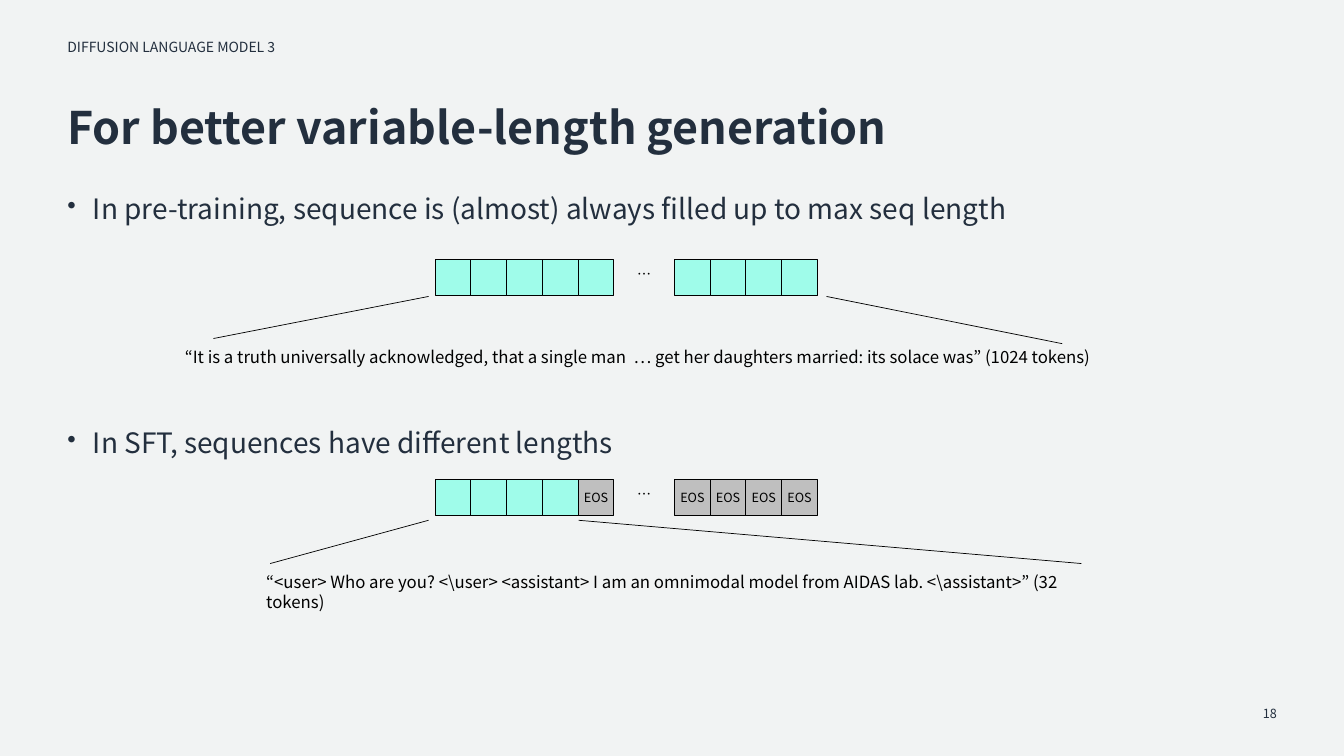
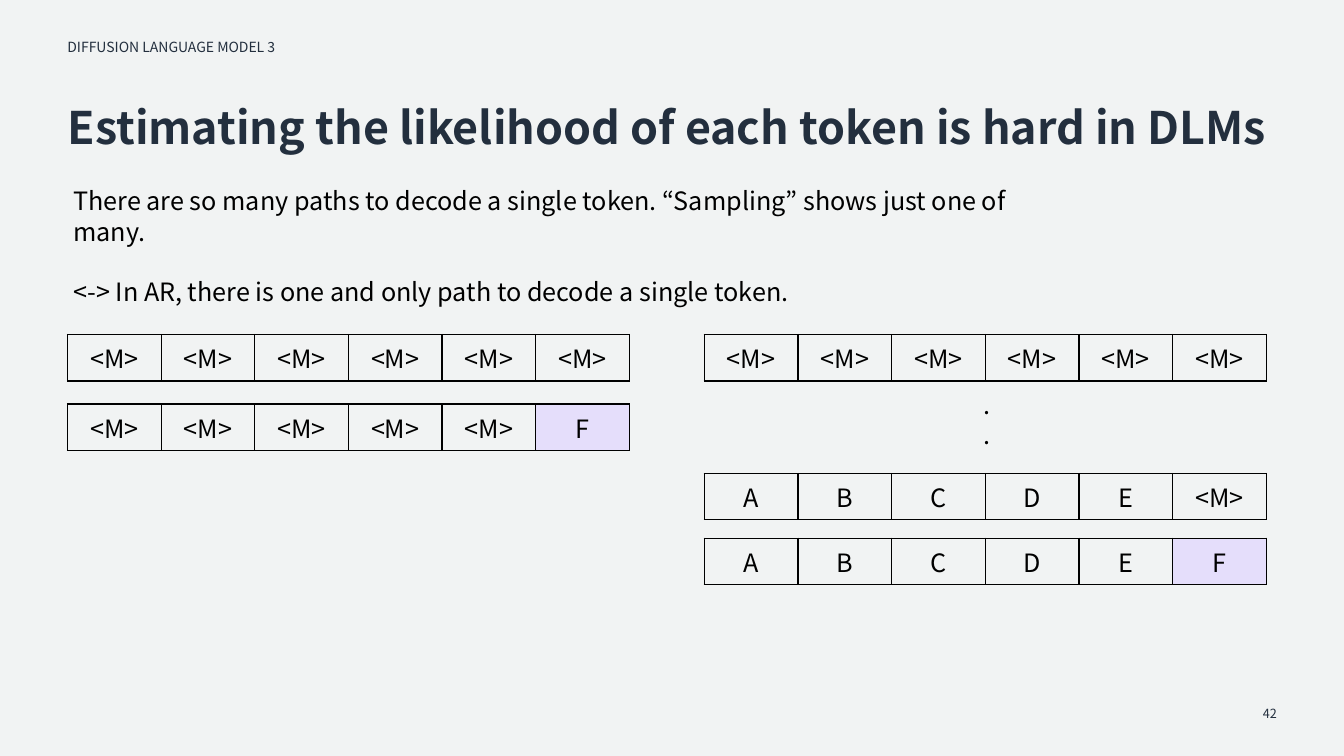
from lxml import etree
from pptx import Presentation
from pptx import util as u
from pptx.dml.color import RGBColor
from pptx.enum import shapes, text
from pptx.oxml import ns

Cm, Pt = u.Cm, u.Pt
FONT = "Noto Sans CJK KR"
COLORS = {
    "background": "F1F3F3",
    "navy": "232F3E",
    "black": "000000",
    "token": "9FFCEA",
    "padding": "BFBFBF",
    "decoded": "E5DEFB",
}
ALIGN = text.PP_ALIGN
MARGIN, CONTENT_WIDTH = 1.7, 30.48
TOKEN_SIZE = 0.9
COLUMN_WIDTH, ROW_HEIGHT = 2.36, 1.17


def color(name):
    return RGBColor.from_string(COLORS[name])


def add_element(parent, tag, **attributes):
    return etree.SubElement(parent, ns.qn(tag), attributes)


def write(frame, *lines, size=12, ink="black", bold=False, align=ALIGN.LEFT,
          anchor=text.MSO_ANCHOR.TOP, side=0, line_spacing=None, gap=0, bullet=False):
    """Fill a text frame with one formatted paragraph per line."""
    frame.word_wrap = True
    frame.auto_size = text.MSO_AUTO_SIZE.NONE
    frame.vertical_anchor = anchor
    frame.margin_left = frame.margin_right = Cm(side)
    frame.margin_top = frame.margin_bottom = Cm(0.13)
    for index, line in enumerate(lines):
        paragraph = frame.add_paragraph() if index else frame.paragraphs[0]
        paragraph.text = line
        paragraph.alignment = align
        if line_spacing:
            paragraph.line_spacing = line_spacing
        paragraph.space_before = Pt(gap if index else 0)
        if bullet:
            properties = paragraph._p.get_or_add_pPr()
            properties.set("marL", str(Cm(0.64)))
            properties.set("indent", str(-Cm(0.64)))
            add_element(properties, "a:buSzPct", val="90000")
            add_element(properties, "a:buChar", char="•")
        font = paragraph.font
        for target in [font] + [run.font for run in paragraph.runs]:
            target.name, target.size, target.bold = FONT, Pt(size), bold
            target.color.rgb = color(ink)


class Deck:
    """Holds the shared style and the current slide."""

    def __init__(self):
        self.presentation = Presentation()
        self.presentation.slide_width = Cm(33.87)
        self.presentation.slide_height = Cm(19.05)
        fill = self.presentation.slide_master.background.fill
        fill.solid()
        fill.fore_color.rgb = color("background")
        self.slide = None

    def new_slide(self, title, number):
        self.slide = self.presentation.slides.add_slide(self.presentation.slide_layouts[5])
        shape = self.slide.shapes.title
        shape.left, shape.top = Cm(MARGIN), Cm(2.54)
        shape.width, shape.height = Cm(CONTENT_WIDTH), Cm(1.5)
        write(shape.text_frame, title, size=32, ink="navy", bold=True, line_spacing=0.9)
        self.label("DIFFUSION LANGUAGE MODEL 3", at=(MARGIN, 0.89, CONTENT_WIDTH, 0.66),
                   size=10, ink="navy", line_spacing=0.9)
        self.label(str(number), at=(MARGIN + CONTENT_WIDTH - 7, 17.48, 7, 1.02), size=9,
                   ink="navy", align=ALIGN.RIGHT, anchor=text.MSO_ANCHOR.MIDDLE)

    def label(self, *lines, at, parent=None, **style):
        box = (parent or self.slide).shapes.add_textbox(*map(Cm, at))
        write(box.text_frame, *lines, **style)

    def bullet(self, line, top):
        self.label(line, at=(MARGIN, top, CONTENT_WIDTH, 1.2), size=20, ink="navy",
                   line_spacing=0.9, bullet=True)

    def line(self, start, end):
        connector = self.slide.shapes.add_connector(
            shapes.MSO_CONNECTOR.STRAIGHT, *map(Cm, start + end))
        connector.line.width = Pt(0.5)
        connector.line.color.rgb = color("black")
        add_element(connector._element.spPr, "a:effectLst")

    def token(self, group, left, top, padded):
        shape = group.shapes.add_shape(shapes.MSO_SHAPE.RECTANGLE, Cm(left), Cm(top),
                                       Cm(TOKEN_SIZE), Cm(TOKEN_SIZE))
        shape.shadow.inherit = False
        shape.fill.solid()
        shape.fill.fore_color.rgb = color("padding" if padded else "token")
        shape.line.color.rgb = color("black")
        shape.line.width = Pt(0.75)
        if padded:
            write(shape.text_frame, "EOS", size=9, align=ALIGN.CENTER,
                  anchor=text.MSO_ANCHOR.MIDDLE)

    def sequence(self, top, filled):
        """Five tokens, an ellipsis and four tokens; those after `filled` are EOS."""
        group = self.slide.shapes.add_group_shape()
        first, second = 10.97, 17
        for index in range(9):
            left = first + index * TOKEN_SIZE if index < 5 else second + (index - 5) * TOKEN_SIZE
            self.token(group, left, top, padded=index >= filled)
        gap_left = first + 5 * TOKEN_SIZE
        self.label("…", at=(gap_left, top, second - gap_left, 0.69), parent=group, size=10,
                   align=ALIGN.CENTER, anchor=text.MSO_ANCHOR.MIDDLE)

    def token_table(self, left, top, tokens):
        frame = self.slide.shapes.add_table(1, len(tokens), Cm(left), Cm(top),
                                            Cm(COLUMN_WIDTH * len(tokens)), Cm(ROW_HEIGHT))
        table = frame.table
        table.first_row = table.horz_banding = False
        for column, cell, token in zip(table.columns, table.iter_cells(), tokens):
            column.width = Cm(COLUMN_WIDTH)
            self.cell(cell, token)

    def cell(self, cell, token):
        cell.vertical_anchor = text.MSO_ANCHOR.MIDDLE
        cell.margin_top = cell.margin_bottom = Cm(0.1)
        write(cell.text_frame, token, size=18, align=ALIGN.CENTER)
        properties = cell._tc.get_or_add_tcPr()
        for side in ("L", "R", "T", "B"):
            border = add_element(properties, f"a:ln{side}", w=str(Pt(1)))
            solid = add_element(border, "a:solidFill")
            add_element(solid, "a:srgbClr", val=COLORS["black"])
        if token == "F":
            cell.fill.solid()
            cell.fill.fore_color.rgb = color("decoded")
        else:
            cell.fill.background()


def build_variable_length(deck):
    deck.new_slide("For better variable-length generation", 18)

    # Pre-training: every position holds a token
    deck.bullet("In pre-training, sequence is (almost) always filled up to max seq length", 4.78)
    deck.sequence(6.55, filled=9)
    deck.line((5.38, 8.53), (10.8, 7.47))
    deck.line((26.77, 8.66), (20.83, 7.47))
    deck.label("“It is a truth universally acknowledged, that a single man  … get her daughters "
               "married: its solace was” (1024 tokens)",
               at=(3.81, 8.61, 24.54, 0.77), align=ALIGN.CENTER)

    # SFT: the rest is padded with EOS
    deck.bullet("In SFT, sequences have different lengths", 10.69)
    deck.sequence(12.09, filled=4)
    deck.line((6.81, 14.2), (10.8, 13.11))
    deck.line((27.25, 14.2), (14.58, 13.11))
    deck.label("“<user> Who are you? <\\user> <assistant> I am an omnimodal model from AIDAS lab. "
               "<\\assistant>” (32 tokens)", at=(6.71, 14.27, 20.73, 1.3))


def build_likelihood(deck):
    deck.new_slide("Estimating the likelihood of each token is hard in DLMs", 42)
    deck.label("There are so many paths to decode a single token. “Sampling” shows just one of many.",
               "<-> In AR, there is one and only path to decode a single token.",
               at=(1.85, 4.55, 24.92, 3.2), size=18, gap=21.5)

    # Decoding paths: the last token first, or the last token last
    mask = "<M>"
    left, right = MARGIN, 17.75
    deck.token_table(left, 8.43, [mask] * 6)
    deck.token_table(left, 10.18, [mask] * 5 + ["F"])
    deck.token_table(right, 8.43, [mask] * 6)
    deck.label(".", ".", at=(24.79, 9.68, 0.5, 1.8), size=18)
    deck.token_table(right, 11.93, [*"ABCDE", mask])
    deck.token_table(right, 13.56, [*"ABCDEF"])


def main():
    deck = Deck()
    build_variable_length(deck)
    build_likelihood(deck)
    deck.presentation.save("out.pptx")


if __name__ == "__main__":
    main()
